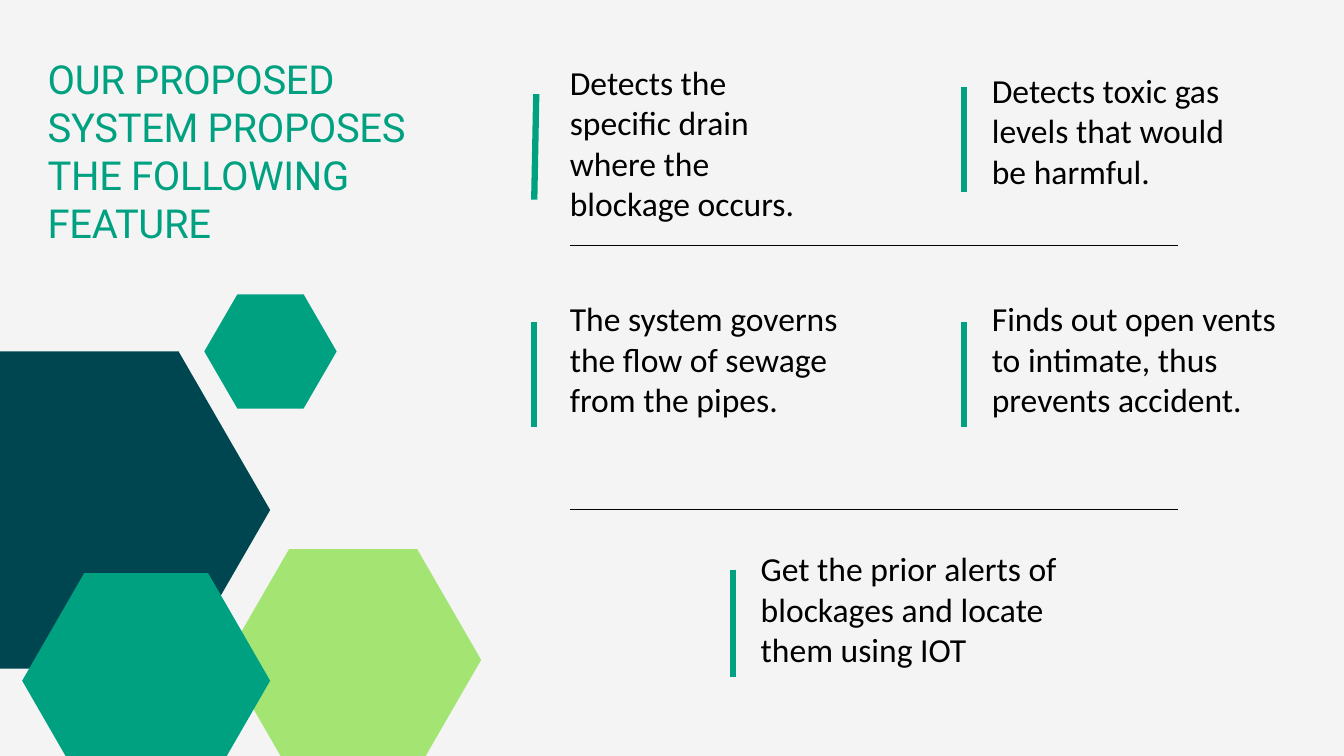
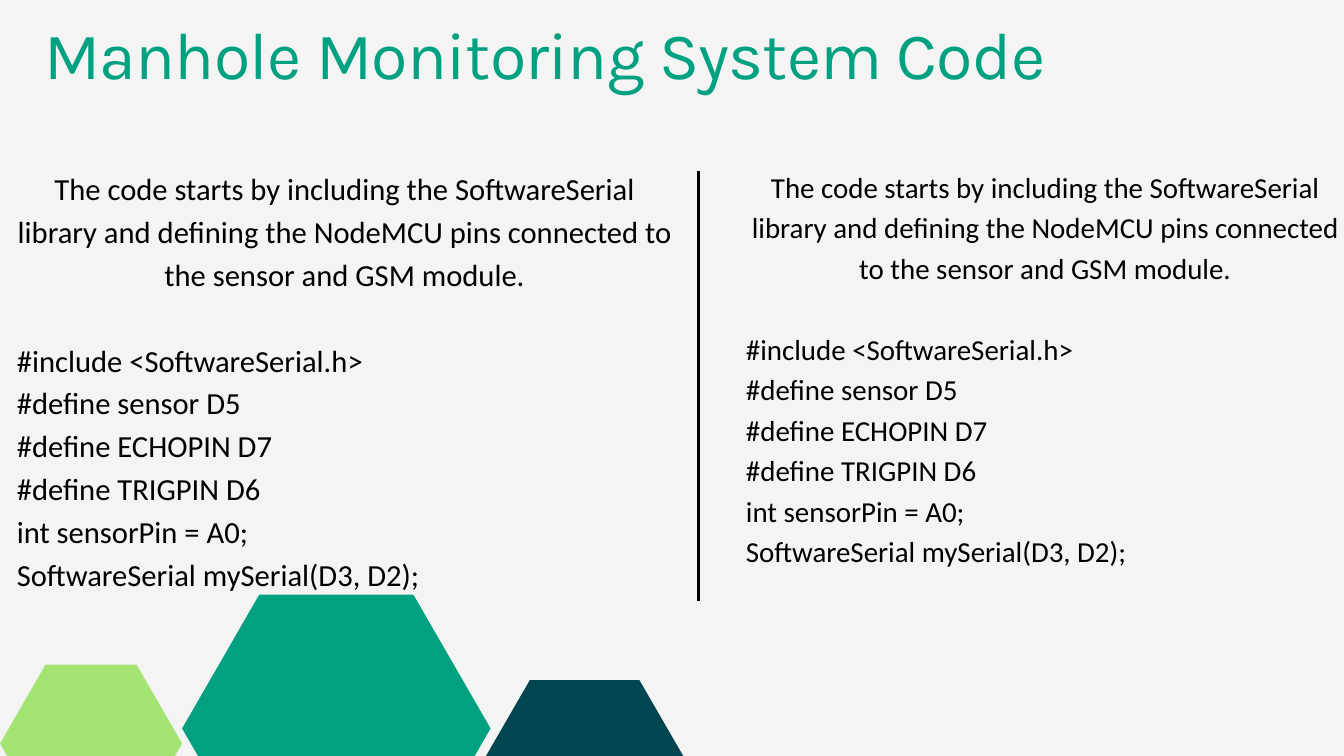
import lxml.etree
import pptx
import pptx.dml.color
import pptx.enum.shapes
import pptx.enum.text
import pptx.oxml.ns
import pptx.util

Inches = pptx.util.Inches
Pt = pptx.util.Pt
RGBColor = pptx.dml.color.RGBColor
PP_ALIGN = pptx.enum.text.PP_ALIGN

# Shared colours and fonts
BACKGROUND = RGBColor(0xF4, 0xF4, 0xF4)
GREEN = RGBColor(0x00, 0xA1, 0x81)
DARK_TEAL = RGBColor(0x00, 0x46, 0x51)
LIME = RGBColor(0xA4, 0xE4, 0x73)
BLACK = RGBColor(0x00, 0x00, 0x00)
BODY_FONT = "Calibri"

# Default template layouts
TWO_CONTENT_LAYOUT = 3
TITLE_ONLY_LAYOUT = 5

# Feature texts: left, top, width, text
FEATURES = [
    (8.48, 0.92, 3.87, "Detects the specific drain where the blockage occurs."),
    (14.76, 1.04, 3.77, "Detects toxic gas levels that would be harmful."),
    (8.48, 4.44, 4.0, "The system governs the flow of sewage from the pipes."),
    (14.76, 4.44, 4.23, "Finds out open vents to intimate, thus prevents accident."),
    (11.32, 8.16, 4.45, "Get the prior alerts of blockages and locate them using IOT"),
]

# Bars beside the features: start x, start y, end x, end y
FEATURE_BARS = [
    (7.98, 1.4, 7.95, 2.97),
    (14.35, 1.29, 14.35, 2.86),
    (7.95, 4.79, 7.95, 6.36),
    (14.35, 4.79, 14.35, 6.36),
    (10.91, 8.48, 10.91, 10.08),
]

CODE_INTRO = (
    "The code starts by including the SoftwareSerial library and defining "
    "the NodeMCU pins connected to the sensor and GSM module."
)
CODE_LINES = [
    "#include <SoftwareSerial.h>",
    "#define sensor D5",
    "#define ECHOPIN D7",
    "#define TRIGPIN D6",
    "int sensorPin = A0;",
    "SoftwareSerial mySerial(D3, D2);",
]


def append_element(parent, tag):
    lxml.etree.SubElement(parent, pptx.oxml.ns.qn(tag))


def place(shape, left, top, width, height):
    shape.left, shape.top = Inches(left), Inches(top)
    shape.width, shape.height = Inches(width), Inches(height)


def prepare_frame(text_frame):
    """Wrap from the top left corner, without margins."""
    text_frame.word_wrap = True
    text_frame.auto_size = pptx.enum.text.MSO_AUTO_SIZE.NONE
    text_frame.vertical_anchor = pptx.enum.text.MSO_ANCHOR.TOP
    text_frame.margin_left = text_frame.margin_right = 0
    text_frame.margin_top = text_frame.margin_bottom = 0


def format_paragraph(paragraph, font_name, size, line_spacing, color):
    paragraph.alignment = PP_ALIGN.LEFT
    paragraph.line_spacing = Pt(line_spacing)
    paragraph.space_before = Pt(0)
    for run in paragraph.runs:
        run.font.name = font_name
        run.font.size = Pt(size)
        run.font.color.rgb = color


def remove_bullet(paragraph):
    properties = paragraph._p.get_or_add_pPr()
    properties.set("marL", "0")
    properties.set("indent", "0")
    append_element(properties, "a:buNone")


def set_title(slide, text, bounds, font_name, size, line_spacing, tracking):
    title = slide.shapes.title
    place(title, *bounds)
    title.text_frame.text = text
    prepare_frame(title.text_frame)
    paragraph = title.text_frame.paragraphs[0]
    format_paragraph(paragraph, font_name, size, line_spacing, GREEN)
    # Letter spacing is in hundredths of a point
    paragraph.runs[0].font._element.set("spc", str(tracking))


def add_feature(slide, left, top, width, text):
    box = slide.shapes.add_textbox(
        Inches(left), Inches(top), Inches(width), Inches(2.38))
    box.text_frame.text = text
    prepare_frame(box.text_frame)
    format_paragraph(box.text_frame.paragraphs[0], BODY_FONT, 36, 43.2, BLACK)


def fill_code_column(placeholder, bounds, size, line_spacing):
    place(placeholder, *bounds)
    text_frame = placeholder.text_frame
    text_frame.text = "\n".join([CODE_INTRO] + CODE_LINES)
    prepare_frame(text_frame)
    for paragraph in text_frame.paragraphs:
        format_paragraph(paragraph, BODY_FONT, size, line_spacing, BLACK)
        remove_bullet(paragraph)
    # One line of space sets the introduction apart from the code
    introduction = text_frame.paragraphs[0]
    introduction.alignment = PP_ALIGN.CENTER
    introduction.space_after = Pt(line_spacing)


def add_line(slide, start_x, start_y, end_x, end_y, color, width):
    line = slide.shapes.add_connector(
        pptx.enum.shapes.MSO_CONNECTOR.STRAIGHT,
        Inches(start_x), Inches(start_y), Inches(end_x), Inches(end_y))
    line.line.color.rgb = color
    line.line.width = Pt(width)
    append_element(line._element.spPr, "a:effectLst")


def add_hexagon(slide, left, top, width, height, color):
    """Draw a hexagon whose flat sides span the middle half of its width."""
    right, bottom, middle = left + width, top + height, top + height / 2
    inner_left, inner_right = left + width / 4, right - width / 4
    corners = [(inner_left, top), (inner_right, top), (right, middle),
               (inner_right, bottom), (inner_left, bottom)]
    builder = slide.shapes.build_freeform(Inches(left), Inches(middle))
    builder.add_line_segments([(Inches(x), Inches(y)) for x, y in corners])
    hexagon = builder.convert_to_shape()
    hexagon.shadow.inherit = False
    hexagon.fill.solid()
    hexagon.fill.fore_color.rgb = color
    hexagon.line.fill.background()


def build_features_slide(presentation):
    slide = presentation.slides.add_slide(
        presentation.slide_layouts[TITLE_ONLY_LAYOUT])
    set_title(slide, "OUR PROPOSED SYSTEM PROPOSES THE FOLLOWING FEATURE",
              (0.71, 0.81, 5.93, 2.83), "Roboto", 42.8, 51.4, -40)

    # Hexagon cluster
    add_hexagon(slide, -1.43, 5.23, 5.45, 4.72, DARK_TEAL)
    add_hexagon(slide, 3.35, 8.17, 3.81, 3.3, LIME)
    add_hexagon(slide, 3.04, 4.38, 1.97, 1.7, GREEN)
    add_hexagon(slide, 0.33, 8.53, 3.69, 3.2, GREEN)

    # Features, their bars and the row dividers
    for feature in FEATURES:
        add_feature(slide, *feature)
    for bar in FEATURE_BARS:
        add_line(slide, *bar, GREEN, 6.75)
    for divider_y in (3.65, 7.58):
        add_line(slide, 8.48, divider_y, 17.53, divider_y, BLACK, 0.75)


def build_code_slide(presentation):
    slide = presentation.slides.add_slide(
        presentation.slide_layouts[TWO_CONTENT_LAYOUT])
    set_title(slide, "Manhole Monitoring System Code",
              (0.66, 0.19, 16.85, 2.36), "Karla", 71.1, 85.3, -70)

    # Two code columns with a divider
    fill_code_column(slide.placeholders[1], (0.25, 2.44, 9.75, 6.33), 32.8, 45.9)
    fill_code_column(slide.placeholders[2], (11.1, 2.43, 8.9, 6.63), 31, 43.4)
    add_line(slide, 10.4, 2.55, 10.4, 8.94, BLACK, 3)

    # Hexagons along the bottom edge
    add_hexagon(slide, 7.07, 10.12, 3.26, 2.82, DARK_TEAL)
    add_hexagon(slide, 2.71, 8.85, 4.59, 3.98, GREEN)
    add_hexagon(slide, 0, 9.89, 2.71, 2.35, LIME)


def main():
    presentation = pptx.Presentation()
    presentation.slide_width = Inches(20)
    presentation.slide_height = Inches(11.25)
    background = presentation.slide_master.background.fill
    background.solid()
    background.fore_color.rgb = BACKGROUND

    build_features_slide(presentation)
    build_code_slide(presentation)
    presentation.save("out.pptx")


if __name__ == "__main__":
    main()
